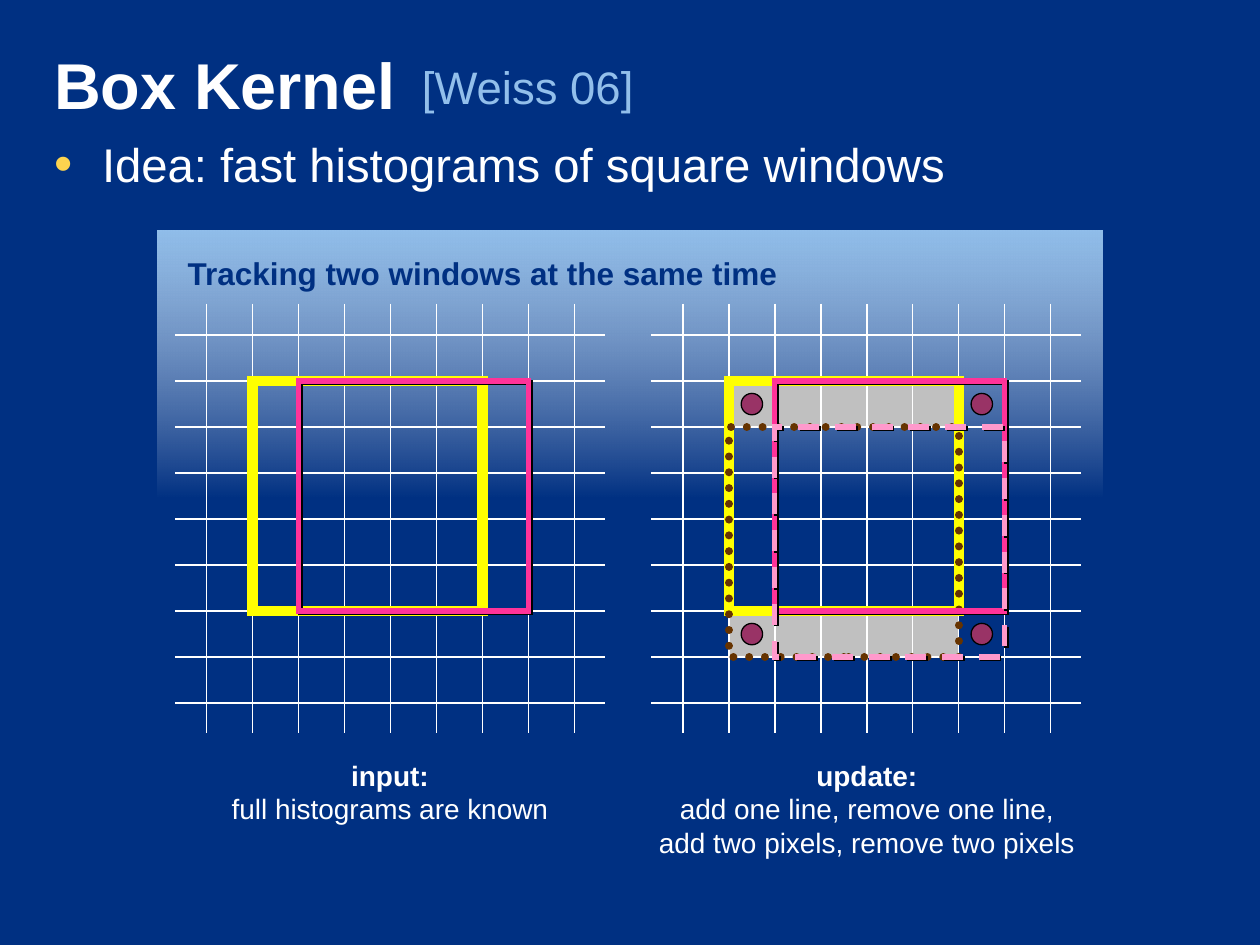
from lxml.etree import SubElement
from pptx import Presentation
from pptx.dml.color import RGBColor
from pptx.enum.dml import MSO_LINE
from pptx.enum.shapes import MSO_CONNECTOR, MSO_SHAPE
from pptx.enum.text import MSO_ANCHOR, MSO_AUTO_SIZE, PP_ALIGN
from pptx.oxml.ns import qn
from pptx.util import Inches, Pt

NAVY, SKY, WHITE, YELLOW = "003082", "92BFEB", "FFFFFF", "FFFF00"
GREY, PINK, PALE_PINK, BROWN, PLUM = "C0C0C0", "FF3399", "FF99CC", "663300", "993366"

TITLE = [[("Box Kernel", True)]]
IDEA = [[("Idea: fast histograms of square windows", False)]]
CITATION = [[("[Weiss 06]", False)]]
HEADING = [[("Tracking two windows at the same time", True)]]
CAPTIONS = [
    ((1.74, 5.97, 2.71, 0.64),
     [[("input:", True)], [("full histograms are known", False)]]),
    ((5.13, 5.97, 3.5, 0.9),
     [[("update:", True)], [("add one line, remove one line,", False)],
      [("add two pixels, remove two pixels", False)]]),
]

CELL, LINES, WINDOW = 0.365, 9, 5
INPUT_LEFT, UPDATE_LEFT, GRID_TOP = 1.39, 5.17, 2.41
GRID_LENGTH, OVERHANG = 3.41, 0.25
DOT_SIZE = 0.17
PIXELS = [(6, 1), (6, 6), (1, 6), (1, 1)]


def color(hex_value):
    """Turn a hex string into a colour."""
    return RGBColor.from_string(hex_value)


def add_shadow(parent, hex_value):
    """Cast a hard shadow down and to the right, and return its effect list."""
    effects = SubElement(parent, qn("a:effectLst"))
    shadow = SubElement(effects, qn("a:outerShdw"), dist=str(Pt(1.4)),
                        dir="2700000", algn="ctr", rotWithShape="0")
    SubElement(shadow, qn("a:srgbClr"), val=hex_value)
    return effects


def write(holder, lines, size, hex_value, align=PP_ALIGN.LEFT, **frame_format):
    """Fill a text holder with lines of (text, bold) runs and return its paragraph."""
    frame = holder.text_frame
    for name, value in frame_format.items():
        setattr(frame, name, value)
    paragraph = frame.paragraphs[0]
    paragraph.alignment = align
    for index, runs in enumerate(lines):
        if index:
            paragraph.add_line_break()
        for text, bold in runs:
            run = paragraph.add_run()
            run.text = text
            run.font.color.rgb = color(hex_value)
            for name, value in {"size": Pt(size), "name": "Arial", "bold": bold}.items():
                setattr(run.font, name, value)
    return paragraph


def place(holder, box):
    """Move a placeholder to a box given in inches."""
    for name, value in zip(("left", "top", "width", "height"), box):
        setattr(holder, name, Inches(value))


def add_label(slide, box, lines, size, hex_value, align=PP_ALIGN.LEFT):
    """Add a free text box that does not wrap."""
    label = slide.shapes.add_textbox(*map(Inches, box))
    write(label, lines, size, hex_value, align, word_wrap=False,
          auto_size=MSO_AUTO_SIZE.SHAPE_TO_FIT_TEXT)


def add_figure(slide, box, kind=MSO_SHAPE.RECTANGLE, fill=None, line=None, width=0.75):
    """Add a shape with an optional fill and outline."""
    figure = slide.shapes.add_shape(kind, *map(Inches, box))
    figure.shadow.inherit = False
    if fill:
        figure.fill.solid()
        figure.fill.fore_color.rgb = color(fill)
    else:
        figure.fill.background()
    if line:
        figure.line.color.rgb = color(line)
        figure.line.width = Pt(width)
        if kind == MSO_SHAPE.RECTANGLE:
            SubElement(figure.line._get_or_add_ln(), qn("a:miter"), lim="800000")
    else:
        figure.line.fill.background()
    return figure


def cell_box(grid_left, column, row, columns=WINDOW, rows=WINDOW):
    """Give the box that covers a block of grid cells."""
    return (grid_left + OVERHANG + column * CELL, GRID_TOP + OVERHANG + row * CELL,
            columns * CELL, rows * CELL)


def add_grid(slide, left):
    """Draw the horizontal and the vertical grid lines as two groups."""
    offsets = [OVERHANG + index * CELL for index in range(LINES)]
    rows = [(left, GRID_TOP + step, left + GRID_LENGTH, GRID_TOP + step) for step in offsets]
    columns = [(left + step, GRID_TOP, left + step, GRID_TOP + GRID_LENGTH) for step in offsets]
    for ends in (rows, columns):
        group = slide.shapes.add_group_shape()
        for end in ends:
            rule = group.shapes.add_connector(MSO_CONNECTOR.STRAIGHT, *map(Inches, end))
            rule.line.color.rgb = color(WHITE)
            rule.line.width = Pt(0.75)
            SubElement(rule._element.spPr, qn("a:effectLst"))


def add_window(slide, grid_left, column, row, line, width, dash=None, shadow=False):
    """Outline one square window on a grid."""
    window = add_figure(slide, cell_box(grid_left, column, row), line=line, width=width)
    if dash:
        window.line.dash_style = dash
    if dash == MSO_LINE.ROUND_DOT:
        window.line._get_or_add_ln().set("cap", "rnd")
    if shadow:
        properties = window._element.spPr
        properties.remove(properties.find(qn("a:effectLst")))
        add_shadow(properties, "000000")


def add_headings(slide):
    """Fill the title and the body placeholder and add the citation."""
    title, body = slide.placeholders
    place(title, (0.33, 0, 9.19, 1.33))
    heading = write(title, TITLE, 37, WHITE, vertical_anchor=MSO_ANCHOR.MIDDLE,
                    auto_size=MSO_AUTO_SIZE.NONE)
    properties = heading.runs[0].font._element
    properties.find(qn("a:solidFill")).addnext(add_shadow(properties, GREY))

    place(body, (0.33, 0.98, 9.2, 0.78))
    idea = write(body, IDEA, 27, WHITE, vertical_anchor=MSO_ANCHOR.TOP,
                 auto_size=MSO_AUTO_SIZE.NONE)
    for name, value in {"line_spacing": 1.1, "space_before": Pt(0), "space_after": Pt(6)}.items():
        setattr(idea, name, value)
    bullet = idea._p.get_or_add_pPr()
    bullet.set("marL", str(Inches(0.38)))
    bullet.set("indent", str(Inches(-0.38)))
    SubElement(SubElement(bullet, qn("a:buClr")), qn("a:srgbClr"), val="FDD44F")
    SubElement(bullet, qn("a:buSzPct"), val="110000")
    SubElement(bullet, qn("a:buFont"), typeface="Arial")
    SubElement(bullet, qn("a:buChar"), char="•")
    add_label(slide, (3.25, 0.42, 1.89, 0.54), CITATION, 26, SKY)


def add_panel(slide):
    """Add the panel that fades out towards the bottom."""
    panel = add_figure(slide, (1.25, 1.83, 7.5, 2.12))
    panel.fill.gradient()
    panel.fill.gradient_angle = 270
    start, end = panel.fill.gradient_stops
    for stop, position, hex_value in ((start, 0, SKY), (end, 1, "FEFEFE")):
        stop.position = position
        stop.color.rgb = color(hex_value)
    SubElement(end._gs.find(qn("a:srgbClr")), qn("a:alpha"), val="0")


def main():
    """Build the slide."""
    deck = Presentation()
    deck.slide_width, deck.slide_height = Inches(10), Inches(7.5)
    slide = deck.slides.add_slide(deck.slide_layouts[1])
    slide.background.fill.solid()
    slide.background.fill.fore_color.rgb = color(NAVY)

    add_headings(slide)
    add_panel(slide)
    add_grid(slide, INPUT_LEFT)
    add_window(slide, INPUT_LEFT, 1, 1, YELLOW, 6)
    for row in (1, 6):
        add_figure(slide, cell_box(UPDATE_LEFT, 1, row, rows=1), fill=GREY)
    add_grid(slide, UPDATE_LEFT)
    add_window(slide, UPDATE_LEFT, 1, 1, YELLOW, 6)
    add_window(slide, UPDATE_LEFT, 1, 2, BROWN, 4.5, MSO_LINE.ROUND_DOT)
    for box, lines in CAPTIONS:
        add_label(slide, box, lines, 16, WHITE, PP_ALIGN.CENTER)
    add_label(slide, (1.39, 1.97, 4.89, 0.4), HEADING, 18, NAVY)
    add_window(slide, INPUT_LEFT, 2, 1, PINK, 3, shadow=True)
    add_window(slide, UPDATE_LEFT, 2, 1, PINK, 3, shadow=True)
    add_window(slide, UPDATE_LEFT, 2, 2, PALE_PINK, 3, MSO_LINE.DASH, shadow=True)
    for column, row in PIXELS:
        left, top, width, height = cell_box(UPDATE_LEFT, column, row, 1, 1)
        dot = (left + (width - DOT_SIZE) / 2, top + (height - DOT_SIZE) / 2, DOT_SIZE, DOT_SIZE)
        add_figure(slide, dot, MSO_SHAPE.OVAL, PLUM, "000000")
    deck.save("out.pptx")


if __name__ == "__main__":
    main()
